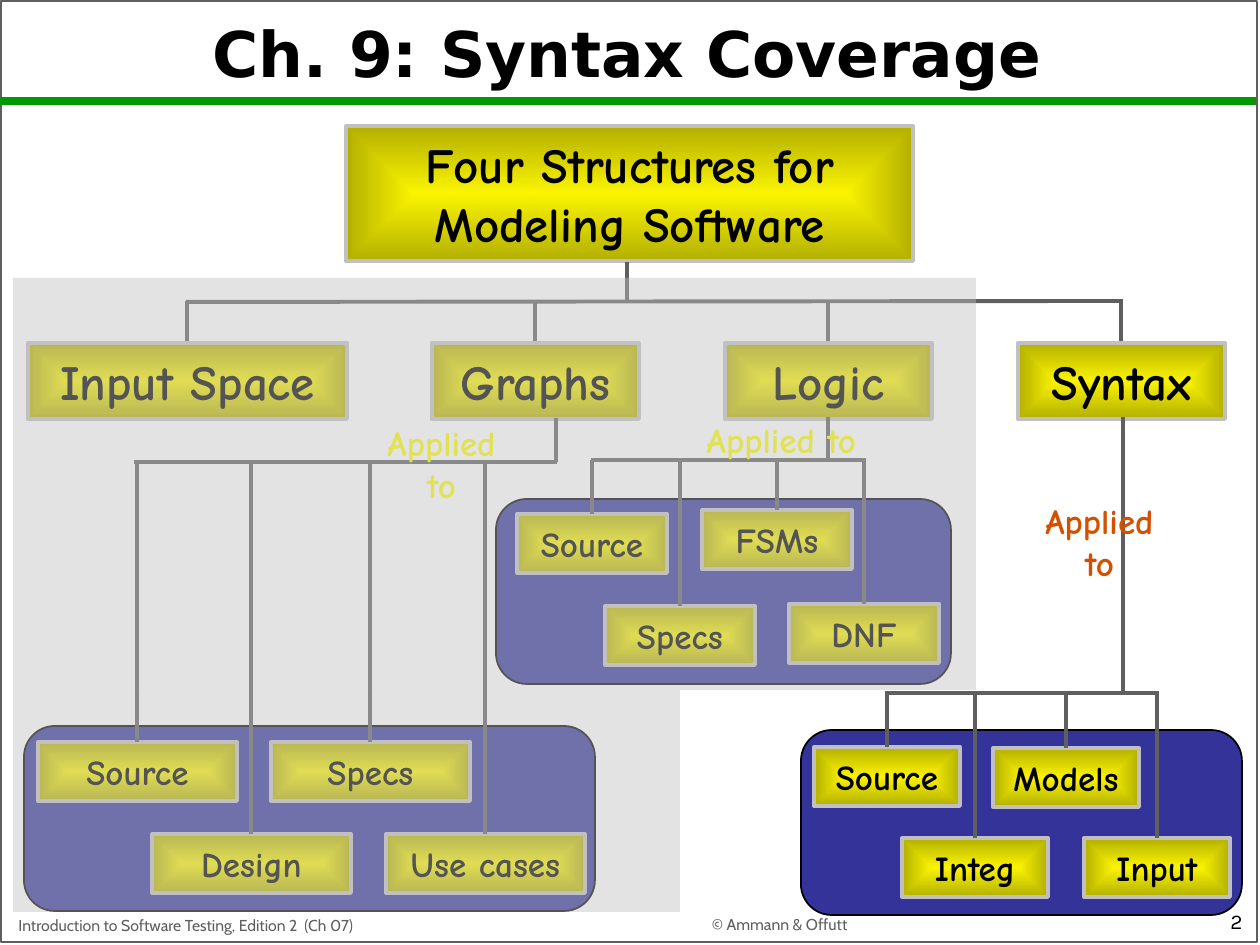
from lxml import etree
from pptx import Presentation
from pptx.dml.color import RGBColor
from pptx.enum.shapes import MSO_CONNECTOR, MSO_SHAPE
from pptx.enum.text import MSO_ANCHOR, PP_ALIGN
from pptx.oxml import parse_xml
from pptx.oxml.ns import qn
from pptx.util import Emu, Pt

PX = 914400 // 126
RECT, ROUNDED = MSO_SHAPE.RECTANGLE, MSO_SHAPE.ROUNDED_RECTANGLE
LEFT, CENTER, RIGHT = PP_ALIGN.LEFT, PP_ALIGN.CENTER, PP_ALIGN.RIGHT
TOP, MIDDLE, BOTTOM = MSO_ANCHOR.TOP, MSO_ANCHOR.MIDDLE, MSO_ANCHOR.BOTTOM
GREY, SILVER, BLACK = "5F5F5F", "C0C0C0", "000000"
PALE_YELLOW, ORANGE = "FAFD00", "D45000"
DIAGRAM_FONT = "Comic Neue"

GOLD_GRADIENT = """
<a:gradFill xmlns:a="http://schemas.openxmlformats.org/drawingml/2006/main" rotWithShape="1">
  <a:gsLst>
    <a:gs pos="0"><a:srgbClr val="FAF400"/></a:gs>
    <a:gs pos="100000"><a:srgbClr val="B3AF00"/></a:gs>
  </a:gsLst>
  <a:path path="shape"><a:fillToRect l="50000" t="50000" r="50000" b="50000"/></a:path>
</a:gradFill>"""

# Top-level structures: text, left, width
STRUCTURES = [("Input Space", 28, 319), ("Graphs", 432, 207),
              ("Logic", 725, 207), ("Syntax", 1018, 207)]

# What each structure applies to; leaves are text, left, top
BRANCHES = [
    dict(panel=(801, 730, 441, 185), leaf_width=146, bus=(885, 1159, 693),
         stem=(1123, 417), label=(1022, 493, 155, 97), color=ORANGE,
         leaves=[("Source", 814, 747), ("Integ", 902, 838),
                 ("Models", 993, 748), ("Input", 1084, 838)]),
    dict(panel=(496, 499, 455, 185), leaf_width=150, bus=(591, 866, 460),
         stem=(828, 417), label=(672, 412, 219, 54), color=PALE_YELLOW,
         leaves=[("Source", 517, 514), ("Specs", 605, 606),
                 ("FSMs", 702, 510), ("DNF", 789, 604)]),
    dict(panel=(24, 726, 571, 185), leaf_width=199, bus=(134, 557, 462),
         stem=(556, 418), label=(364, 415, 155, 97), color=PALE_YELLOW,
         leaves=[("Source", 38, 742), ("Design", 152, 834),
                 ("Specs", 271, 742), ("Use cases", 386, 834)]),
]


def px(*values):
    return [Emu(value * PX) for value in values]


def rgb(color):
    return RGBColor.from_string(color)


def write(shape, text, size, font, color, bold=False, align=CENTER,
          anchor=MIDDLE, wrap=True):
    frame = shape.text_frame
    frame.text = text
    frame.word_wrap = wrap
    frame.vertical_anchor = anchor
    para = frame.paragraphs[0]
    para.alignment = align
    para.font.size = Pt(size)
    para.font.name = font
    para.font.bold = bold
    para.font.color.rgb = rgb(color)
    return para


def add_area(page, kind, place, fill=None, line=None, width=1):
    area = page.shapes.add_shape(kind, *px(*place))
    area.shadow.inherit = False
    if fill:
        area.fill.solid()
        area.fill.fore_color.rgb = rgb(fill)
    else:
        area.fill.background()
    if line:
        area.line.color.rgb = rgb(line)
        area.line.width = Pt(width)
    else:
        area.line.fill.background()
    return area


def add_gold_box(page, place, text, size):
    box = add_area(page, RECT, place, line=SILVER, width=2.25)
    properties = box._element.spPr
    properties.replace(properties.find(qn("a:noFill")), parse_xml(GOLD_GRADIENT))
    write(box, text, size, DIAGRAM_FONT, BLACK, bold=True)


def add_line(page, x1, y1, x2, y2, color=GREY, width=2.25):
    line = page.shapes.add_connector(MSO_CONNECTOR.STRAIGHT, *px(x1, y1, x2, y2))
    line.line.color.rgb = rgb(color)
    line.line.width = Pt(width)
    etree.SubElement(line._element.spPr, qn("a:effectLst"))


def add_label(page, place, text, size, font, color, **style):
    label = page.shapes.add_textbox(*px(*place))
    write(label, text, size, font, color, **style)


def add_veil(page, place):
    veil = add_area(page, RECT, place, fill=SILVER)
    color = veil._element.spPr.find(qn("a:solidFill"))[0]
    etree.SubElement(color, qn("a:alpha"), val="44000")


def add_structures(page):
    top, bus = 343, 302
    add_gold_box(page, (346, 126, 567, 135),
                 "Four Structures for Modeling Software", 28)
    for text, left, width in STRUCTURES:
        add_gold_box(page, (left, top, width, 76), text, 28)
    add_line(page, 186, bus, 1123, bus - 1)
    add_line(page, 627, 262, 627, bus)
    for _, left, width in STRUCTURES:
        center = left + width // 2
        add_line(page, center, bus - 1, center, top - 2)


def add_branch(page, panel, leaf_width, bus, stem, label, color, leaves):
    start, end, level = bus
    stem_x, stem_top = stem
    add_area(page, ROUNDED, panel, fill="333399", line=BLACK)
    for text, left, top in leaves:
        add_gold_box(page, (left, top, leaf_width, 59), text, 20)
    add_line(page, start, level, end, level)
    for _, left, top in leaves:
        center = left + leaf_width // 2
        add_line(page, center, top, center, level)
    add_line(page, stem_x, stem_top, stem_x, level)
    add_label(page, label, "Applied to", 20, DIAGRAM_FONT, color,
              bold=True, anchor=TOP)


def main():
    deck = Presentation()
    deck.slide_width, deck.slide_height = px(1260, 945)
    page = deck.slides.add_slide(deck.slide_layouts[5])

    # Frame, title and rule
    add_area(page, RECT, (1, 1, 1256, 941), line=GREY)
    add_line(page, 0, 101, 1256, 101, "009900", 4.5)
    title = page.shapes.title
    title.left, title.top, title.width, title.height = px(1, 14, 1252, 87)
    heading = write(title, "Ch. 9: Syntax Coverage", 36, "DejaVu Sans", BLACK, bold=True)
    heading.line_spacing = 0.9

    # Footer
    for place, text, size, font, color, align in [
        ((6, 906, 548, 35), "Introduction to Software Testing, Edition 2  (Ch 07)",
         9, "Cabin", GREY, LEFT),
        ((580, 905, 399, 35), "© Ammann & Offutt", 9, "Cabin", GREY, CENTER),
        ((993, 903, 262, 37), "2", 12, "Karla", BLACK, RIGHT),
    ]:
        add_label(page, place, text, size, font, color,
                  align=align, anchor=BOTTOM, wrap=False)

    # Diagram
    add_structures(page)
    for branch in BRANCHES:
        add_branch(page, **branch)

    # Veils over all but the syntax branch
    add_veil(page, (13, 690, 667, 222))
    add_veil(page, (13, 278, 963, 412))

    deck.save("out.pptx")


if __name__ == "__main__":
    main()
